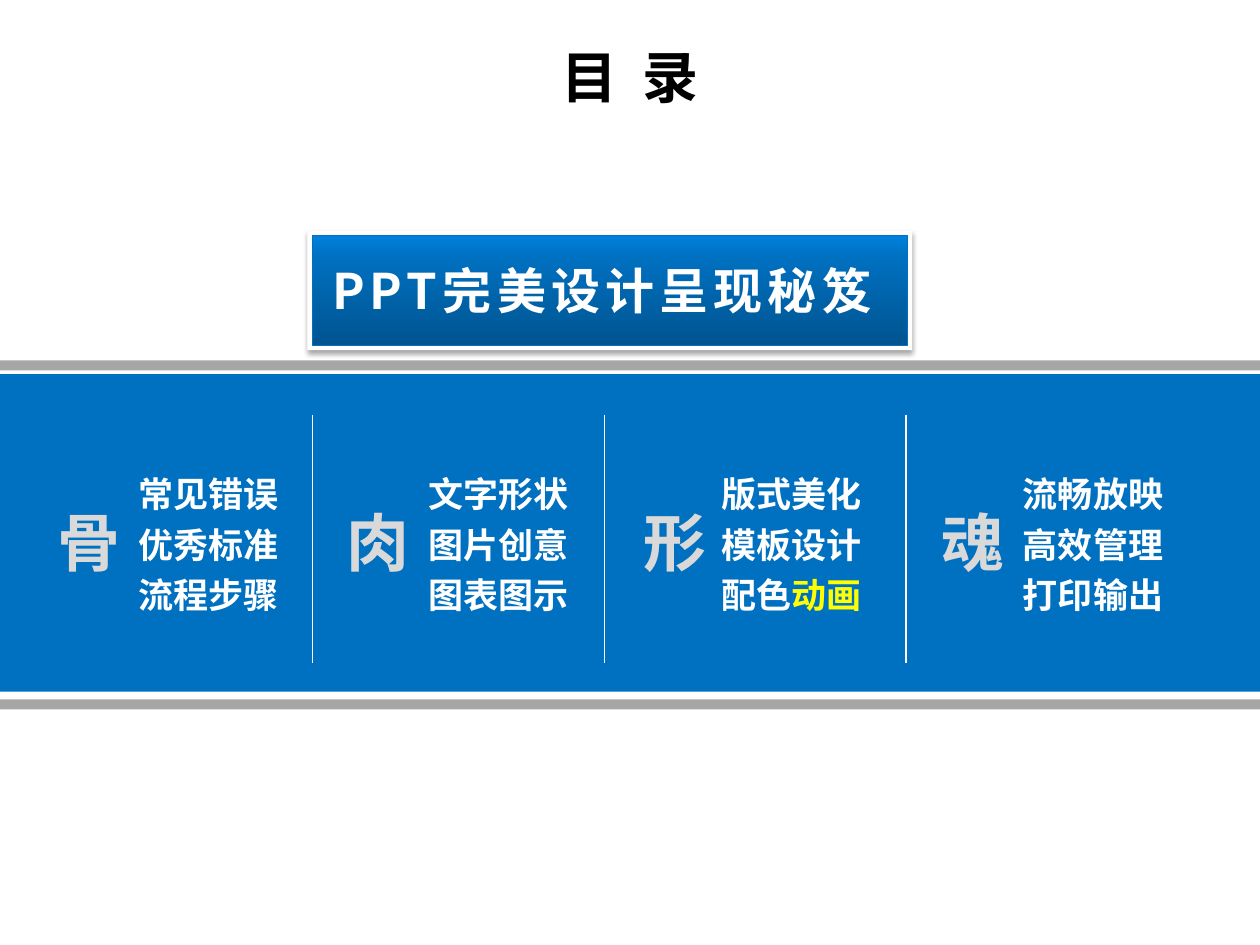
from lxml import etree
from pptx import Presentation
from pptx.dml.color import RGBColor
from pptx.enum import shapes, text
from pptx.oxml import ns, parse_xml
from pptx.util import Inches, Pt

FONT = "Noto Sans CJK SC"
BLUE = RGBColor(0x00, 0x70, 0xC0)
GREY = RGBColor(0xA6, 0xA6, 0xA6)
PALE = RGBColor(0xD9, 0xD9, 0xD9)
WHITE = RGBColor(0xFF, 0xFF, 0xFF)
BLACK = RGBColor(0x00, 0x00, 0x00)
YELLOW = RGBColor(0xFF, 0xFF, 0x00)

TITLE = "目  录"
BANNER = "PPT完美设计呈现秘笈 "
COLUMNS = [
    (0.36, "骨", 1.0, ["常见错误", "优秀标准", "流程步骤"]),
    (2.65, "肉", 3.3, ["文字形状", "图片创意", "图表图示"]),
    (5.01, "形", 5.63, ["版式美化", "模板设计", ("配色", "动画")]),
    (7.37, "魂", 8.02, ["流畅放映", "高效管理", "打印输出"]),
]
BANDS = [(2.86, 0.08, GREY), (2.97, 2.52, BLUE), (5.55, 0.08, GREY)]
RULES = [2.48, 4.8, 7.19]
STOPS = [(0, "005490"), (80, "0070C0"), (100, "0081DD")]
XMLNS = ns.nsdecls("a")


def write(frame, lines, size, color, align=None, space=None, gap=None, wrap=True):
    frame.word_wrap = wrap
    frame.vertical_anchor = text.MSO_ANCHOR.MIDDLE
    for i, line in enumerate(lines):
        para = frame.paragraphs[0] if i == 0 else frame.add_paragraph()
        para.alignment = align
        para.line_spacing = space
        parts = (line,) if isinstance(line, str) else line
        for part, tint in zip(parts, (color, YELLOW)):
            run = para.add_run()
            run.text = part
            font = run.font
            font.name, font.size, font.bold = FONT, Pt(size), True
            font.color.rgb = tint
            props = run._r.get_or_add_rPr()
            etree.SubElement(props, ns.qn("a:ea")).set("typeface", FONT)
            if gap:
                props.set("spc", str(gap * 100))


def box(slide, x, y, w, h, fill):
    rect = slide.shapes.add_shape(
        shapes.MSO_SHAPE.RECTANGLE, Inches(x), Inches(y), Inches(w), Inches(h))
    rect.shadow.inherit = False
    rect.fill.solid()
    rect.fill.fore_color.rgb = fill
    rect.line.fill.background()
    return rect


def label(slide, x, y, w, h, lines, **style):
    area = slide.shapes.add_textbox(Inches(x), Inches(y), Inches(w), Inches(h))
    write(area.text_frame, lines, **style)


def rule(slide, x):
    line = slide.shapes.add_connector(
        shapes.MSO_CONNECTOR.STRAIGHT, Inches(x), Inches(3.29), Inches(x), Inches(5.26))
    line.line.color.rgb = WHITE
    line.line.width = Pt(0.75)
    etree.SubElement(line._element.spPr, ns.qn("a:effectLst"))


def banner(slide):
    x, y, w, h, edge = 2.48, 1.87, 4.72, 0.87, 0.04
    back = box(slide, x - edge, y - edge, w + 2 * edge, h + 2 * edge, WHITE)
    back._element.spPr.find(ns.qn("a:effectLst")).append(parse_xml(
        f'<a:outerShdw {XMLNS} blurRad="39370" dist="22860" dir="5400000" rotWithShape="0">'
        '<a:srgbClr val="000000"><a:alpha val="35000"/></a:srgbClr></a:outerShdw>'))
    front = box(slide, x, y, w, h, BLUE)
    front.line.color.rgb = BLUE
    front.line.width = Pt(0.75)
    stops = "".join(f'<a:gs pos="{at * 1000}"><a:srgbClr val="{tint}"/></a:gs>'
                    for at, tint in STOPS)
    props = front._element.spPr
    props.replace(props.find(ns.qn("a:solidFill")), parse_xml(
        f'<a:gradFill {XMLNS} rotWithShape="1"><a:gsLst>{stops}</a:gsLst>'
        '<a:lin ang="16200000" scaled="0"/></a:gradFill>'))
    write(front.text_frame, [BANNER], 28, WHITE, align=text.PP_ALIGN.CENTER, gap=3)


def main():
    deck = Presentation()
    deck.slide_width, deck.slide_height = Inches(10), Inches(7.5)
    slide = deck.slides.add_slide(deck.slide_layouts[5])
    title = slide.shapes.title
    title.left, title.top = Inches(0.51), Inches(0.3)
    title.width, title.height = Inches(8.98), Inches(0.61)
    write(title.text_frame, [TITLE], 32, BLACK, align=text.PP_ALIGN.CENTER)
    for y, h, fill in BANDS:
        box(slide, -0.01, y, 10.02, h, fill)
    for x in RULES:
        rule(slide, x)
    for x, mark, left, lines in COLUMNS:
        label(slide, left, 3.63, 1.32, 1.31, lines,
              size=20, color=WHITE, space=1.2, wrap=False)
        label(slide, x, 3.94, 0.71, 0.71, [mark], size=36, color=PALE, wrap=False)
    banner(slide)
    deck.save("out.pptx")


if __name__ == "__main__":
    main()
